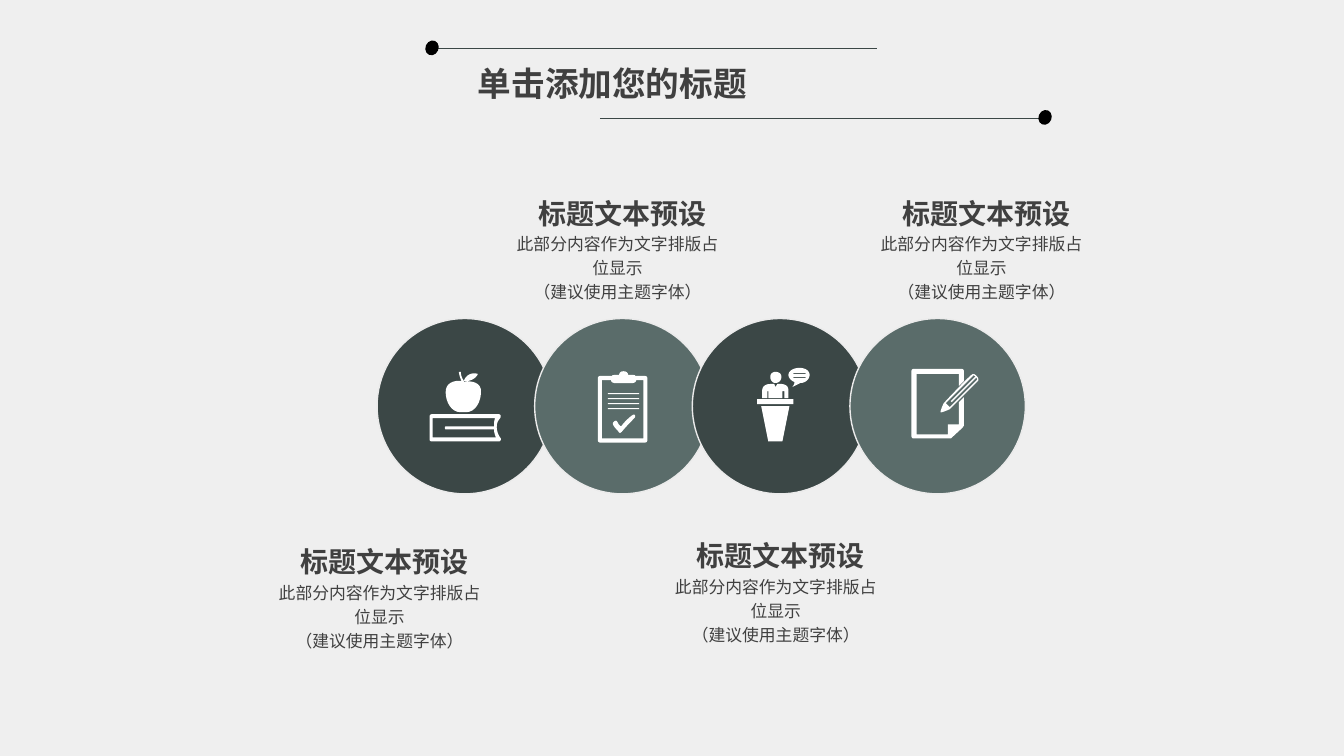
from lxml.etree import SubElement
from pptx import Presentation
from pptx.dml.color import RGBColor as RGB
from pptx.enum.shapes import MSO_CONNECTOR as CONNECTOR, MSO_SHAPE as SHAPE
from pptx.enum.text import MSO_ANCHOR as ANCHOR, PP_ALIGN as ALIGN
from pptx.oxml.ns import qn
from pptx.util import Inches, Pt


class Theme:
    font = "Noto Sans CJK SC"
    background = RGB.from_string("EFEFEF")
    text = RGB.from_string("404040")
    dark = RGB.from_string("3B4746")
    light = RGB.from_string("5A6C6A")
    rim = RGB.from_string("EBEBEB")
    dot = RGB.from_string("000000")
    icon = RGB.from_string("FFFFFF")
    title_size, heading_size, body_size = Pt(24), Pt(20), Pt(12)


prs = Presentation()
prs.slide_width, prs.slide_height = Inches(13.33), Inches(7.5)
s = prs.slides.add_slide(prs.slide_layouts[6])
s.background.fill.solid()
s.background.fill.fore_color.rgb = Theme.background


def box(left, top, right, bottom):
    return [(left, top), (right, top), (right, bottom), (left, bottom)]


def draw_icon(contours):
    """Fill closed contours; a 2-tuple is a corner, a 6-tuple a Bezier curve."""
    builder = None
    for start, *steps in contours:
        points, (x, y) = [], start
        for step in steps:
            if len(step) == 6:
                x1, y1, x2, y2, x3, y3 = step
                for t in (i / 8 for i in range(1, 9)):
                    a, b, c, d = (1 - t) ** 3, 3 * t * (1 - t) ** 2, 3 * t * t * (1 - t), t ** 3
                    points.append((a * x + b * x1 + c * x2 + d * x3,
                                   a * y + b * y1 + c * y2 + d * y3))
            else:
                points.append(step)
            x, y = step[-2:]
        if builder is None:
            builder = s.shapes.build_freeform(Inches(start[0]), Inches(start[1]))
        else:
            builder.move_to(Inches(start[0]), Inches(start[1]))
        builder.add_line_segments([(Inches(px), Inches(py)) for px, py in points], close=True)
    sp = builder.convert_to_shape()
    sp.shadow.inherit = False
    sp.fill.solid()
    sp.fill.fore_color.rgb = Theme.icon
    sp.line.fill.background()


# Title rules, each with a dot at its outer end
for x1, x2, y, dot_left in [(4.33, 8.7, 0.48, 4.22), (5.95, 10.31, 1.17, 10.3)]:
    rule = s.shapes.add_connector(CONNECTOR.STRAIGHT, Inches(x1), Inches(y), Inches(x2), Inches(y))
    rule.line.color.rgb = Theme.dark
    rule.line.width = Pt(0.5)
    SubElement(rule._element.spPr, qn("a:effectLst"))
    dot = s.shapes.add_shape(SHAPE.OVAL, Inches(dot_left), Inches(y - 0.08),
                             Inches(0.13), Inches(0.15))
    dot.rotation = 23
    dot.shadow.inherit = False
    dot.fill.solid()
    dot.fill.fore_color.rgb = Theme.dot
    dot.line.fill.background()

# Chain of overlapping circles
for i in range(4):
    circle = s.shapes.add_shape(SHAPE.OVAL, Inches(3.74 + i * 4.69 / 3), Inches(3.16),
                                Inches(1.74), Inches(1.74))
    circle.shadow.inherit = False
    circle.fill.solid()
    circle.fill.fore_color.rgb = Theme.light if i % 2 else Theme.dark
    circle.line.color.rgb = Theme.rim
    circle.line.width = Pt(1)

book = [
    [(4.96, 4.34), (4.95, 4.33, 4.89, 4.22, 4.96, 4.15), (4.97, 4.14, 4.97, 4.11, 4.95, 4.11),
     (4.28, 4.11), (4.27, 4.11, 4.26, 4.12, 4.26, 4.14), (4.26, 4.36),
     (4.26, 4.37, 4.27, 4.38, 4.28, 4.38), (4.95, 4.38), (4.96, 4.38, 4.98, 4.36, 4.96, 4.34)],
    [(4.29, 4.34), (4.29, 4.15), (4.91, 4.15), (4.9, 4.18, 4.9, 4.2, 4.9, 4.23), (4.42, 4.23),
     (4.41, 4.23, 4.41, 4.26, 4.42, 4.26), (4.9, 4.26), (4.9, 4.29, 4.91, 4.32, 4.92, 4.34)],
]
apple = [
    [(4.57, 4.09), (4.57, 4.09, 4.59, 4.09, 4.62, 4.09), (4.72, 4.09, 4.77, 3.98, 4.77, 3.89),
     (4.78, 3.8, 4.68, 3.77, 4.6, 3.79), (4.6, 3.78), (4.65, 3.79, 4.72, 3.76, 4.74, 3.71),
     (4.68, 3.69, 4.62, 3.72, 4.6, 3.78), (4.59, 3.76, 4.57, 3.73, 4.57, 3.69), (4.55, 3.69),
     (4.56, 3.74, 4.57, 3.77, 4.58, 3.78), (4.5, 3.77, 4.42, 3.8, 4.42, 3.89),
     (4.42, 3.98, 4.47, 4.09, 4.57, 4.09)],
]
clipboard = [
    [(6.4, 3.73), (6.3, 3.73), (6.3, 3.72, 6.29, 3.72, 6.27, 3.72), (6.23, 3.72),
     (6.23, 3.67, 6.14, 3.67, 6.14, 3.72), (6.1, 3.72), (6.09, 3.72, 6.07, 3.72, 6.07, 3.73),
     (5.95, 3.73), (5.94, 3.73, 5.93, 3.74, 5.93, 3.75), (5.93, 4.37),
     (5.93, 4.38, 5.94, 4.39, 5.95, 4.39), (6.4, 4.39), (6.41, 4.39, 6.42, 4.38, 6.42, 4.37),
     (6.42, 3.75), (6.42, 3.74, 6.41, 3.73, 6.4, 3.73)],
    [(6.38, 4.35), (5.97, 4.35), (5.97, 3.77), (6.06, 3.77), (6.06, 3.79, 6.08, 3.8, 6.1, 3.8),
     (6.27, 3.8), (6.29, 3.8, 6.31, 3.79, 6.31, 3.77), (6.38, 3.77)],
    *[box(6.03, 3.9 + i * 0.05, 6.34, 3.91 + i * 0.05) for i in range(4)],
    [(6.29, 4.15), (6.25, 4.19, 6.21, 4.23, 6.17, 4.28), (6.16, 4.29, 6.15, 4.3, 6.14, 4.29),
     (6.12, 4.26, 6.09, 4.24, 6.08, 4.21), (6.07, 4.19, 6.11, 4.16, 6.12, 4.18),
     (6.13, 4.2, 6.14, 4.22, 6.16, 4.23), (6.19, 4.19, 6.23, 4.15, 6.27, 4.12),
     (6.3, 4.1, 6.31, 4.13, 6.29, 4.15)],
]
speaker = [
    [(7.56, 3.87), (7.56, 3.87, 7.56, 3.81, 7.64, 3.81), (7.68, 3.81), (7.69, 3.84), (7.71, 3.81),
     (7.75, 3.81), (7.75, 3.81, 7.82, 3.81, 7.82, 3.87), (7.82, 3.95), (7.78, 3.95), (7.78, 3.88),
     (7.76, 3.88), (7.76, 3.95), (7.62, 3.95), (7.62, 3.88), (7.61, 3.88), (7.61, 3.95),
     (7.56, 3.95)],
    [(7.69, 3.8), (7.73, 3.8, 7.75, 3.77, 7.75, 3.74), (7.75, 3.71, 7.73, 3.69, 7.69, 3.69),
     (7.66, 3.69, 7.64, 3.71, 7.64, 3.74), (7.64, 3.77, 7.66, 3.8, 7.69, 3.8)],
    [(7.62, 4.38), (7.76, 4.38), (7.83, 4.03), (7.55, 4.03)],
    [(8.03, 3.72), (8.03, 3.76, 7.99, 3.8, 7.94, 3.8), (7.9, 3.82, 7.86, 3.84, 7.86, 3.84),
     (7.88, 3.81, 7.88, 3.8, 7.88, 3.79), (7.85, 3.78, 7.82, 3.75, 7.82, 3.72),
     (7.82, 3.68, 7.87, 3.65, 7.93, 3.65), (7.99, 3.65, 8.03, 3.68, 8.03, 3.72)],
    box(7.87, 3.7, 7.99, 3.71),
    box(7.87, 3.74, 7.99, 3.75),
    box(7.51, 3.96, 7.87, 4.01),
]
pencil = [
    [(9.65, 3.71), (9.63, 3.71, 9.38, 3.98, 9.36, 4), (9.36, 4, 9.32, 4.09, 9.33, 4.09),
     (9.33, 4.1, 9.42, 4.06, 9.42, 4.06), (9.7, 3.78), (9.72, 3.76, 9.68, 3.71, 9.65, 3.71)],
    [(9.69, 3.77), (9.42, 4.04), (9.38, 4), (9.65, 3.73), (9.65, 3.71, 9.7, 3.75, 9.69, 3.77)],
]
pencil_core = [[(9.43, 3.98), (9.68, 3.73), (9.69, 3.74), (9.44, 3.99)]]
sheet = [
    [(9.51, 3.99), (9.51, 4.21), (9.4, 4.21), (9.4, 4.31), (9.09, 4.31), (9.09, 3.71), (9.51, 3.71),
     (9.51, 3.83), (9.56, 3.78), (9.56, 3.68), (9.56, 3.67, 9.55, 3.66, 9.54, 3.66), (9.06, 3.66),
     (9.05, 3.66, 9.04, 3.67, 9.04, 3.68), (9.04, 4.33), (9.04, 4.34, 9.05, 4.35, 9.06, 4.35),
     (9.41, 4.35), (9.42, 4.35, 9.42, 4.35, 9.43, 4.35), (9.55, 4.24),
     (9.55, 4.23, 9.56, 4.23, 9.56, 4.22), (9.56, 3.94)],
]
for icon in (book, apple, pencil, sheet, pencil_core, speaker, clipboard):
    draw_icon(icon)

# Title, then a heading and a body for each circle
texts = [("单击添加您的标题", 4.74, 0.62, 4.15, 0.4, Theme.title_size, True,
          ALIGN.JUSTIFY, ANCHOR.TOP, 1.0)]
for left, top in [(2.73, 5.28), (5.09, 1.82), (6.66, 5.22), (8.7, 1.82)]:
    texts += [
        ("标题文本预设", left, top, 2.17, 0.46, Theme.heading_size, True,
         ALIGN.CENTER, ANCHOR.BOTTOM, 1.0),
        ("此部分内容作为文字排版占位显示\v（建议使用主题字体）", left, top + 0.46, 2.07, 0.32,
         Theme.body_size, False, ALIGN.CENTER, ANCHOR.TOP, 1.2),
    ]
for text, left, top, width, height, size, bold, align, anchor, spacing in texts:
    tf = s.shapes.add_textbox(Inches(left), Inches(top), Inches(width), Inches(height)).text_frame
    tf.word_wrap = True
    tf.margin_left = tf.margin_top = tf.margin_right = tf.margin_bottom = 0
    tf.vertical_anchor = anchor
    p = tf.paragraphs[0]
    p.text = text
    p.alignment, p.line_spacing = align, spacing
    p.font.name, p.font.size, p.font.bold = Theme.font, size, bold
    p.font.color.rgb = Theme.text
    SubElement(p._p.pPr.find(qn("a:defRPr")), qn("a:ea"), typeface=Theme.font)

prs.save("out.pptx")
